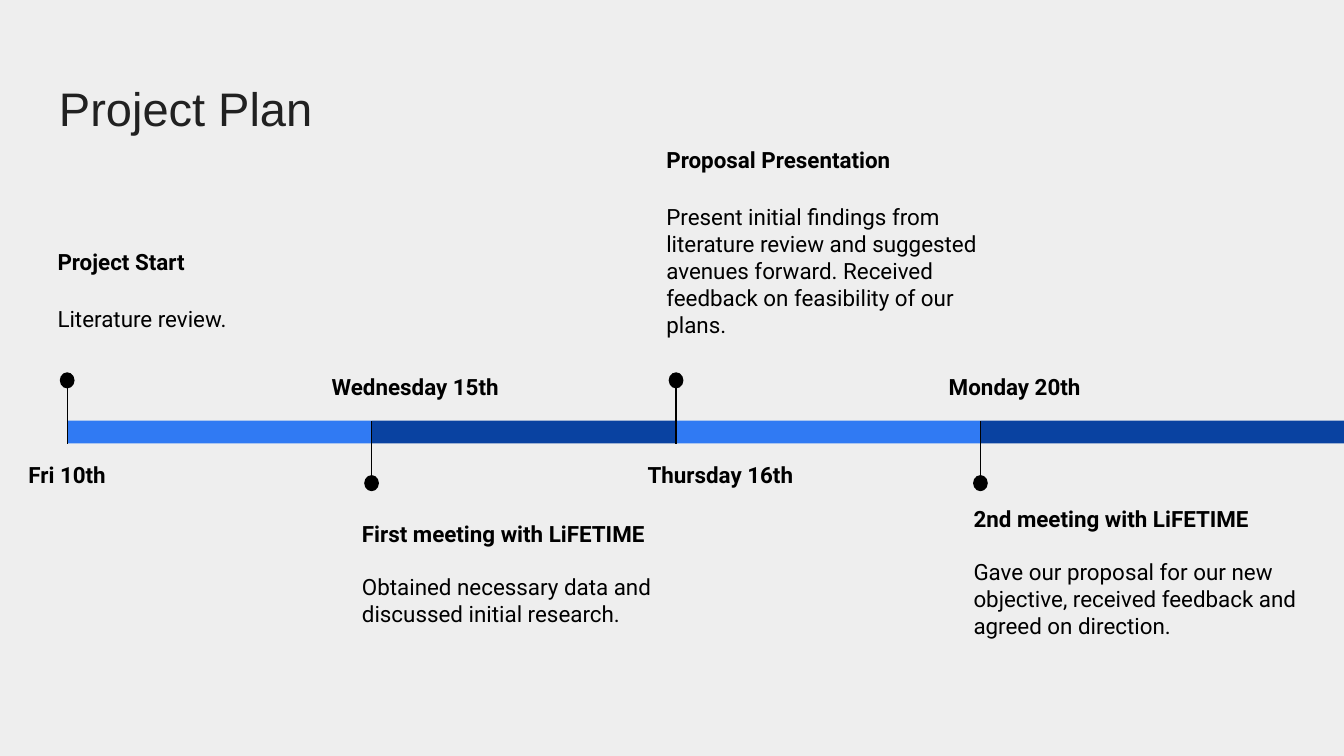
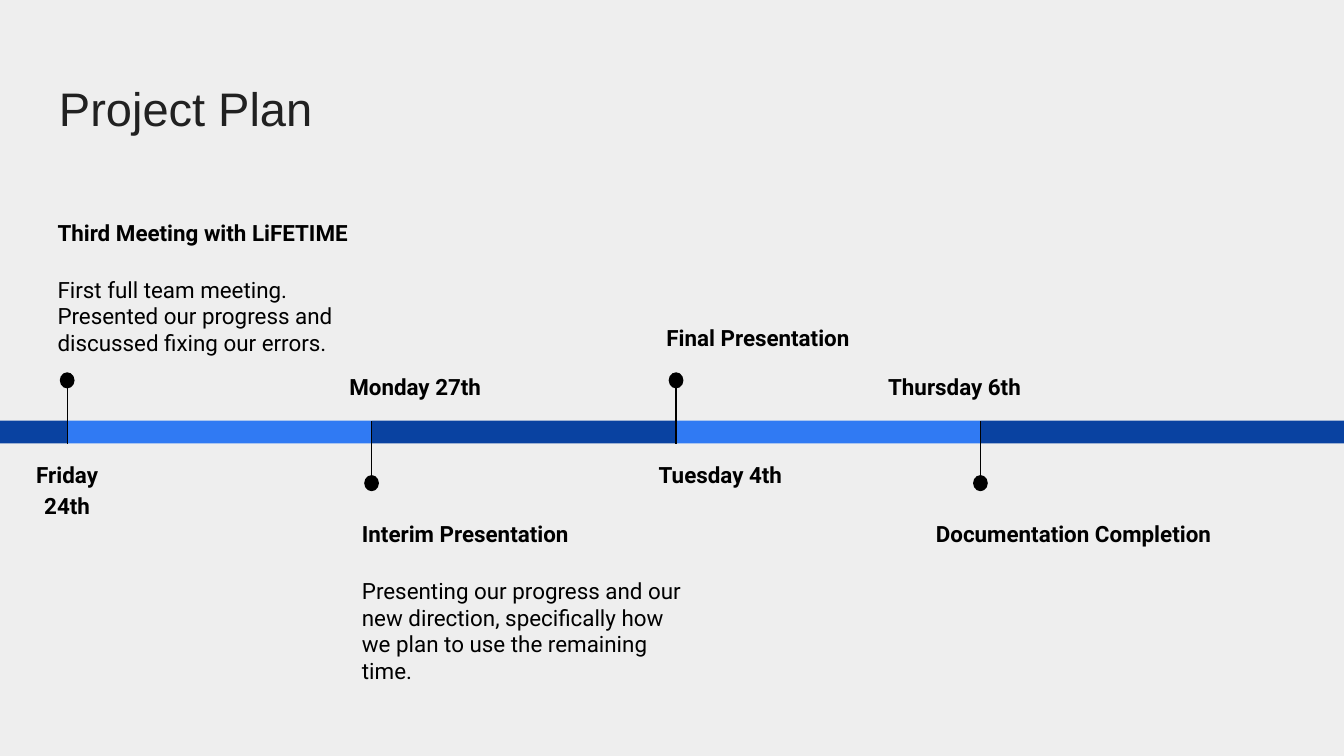
from dataclasses import dataclass

from lxml.etree import SubElement
from pptx import Presentation
from pptx.dml.color import RGBColor
from pptx.enum.shapes import MSO_CONNECTOR as Connector, MSO_SHAPE as Preset
from pptx.enum.text import MSO_ANCHOR as Anchor, PP_ALIGN as Align
from pptx.oxml.ns import qn
from pptx.util import Inches, Pt


@dataclass(frozen=True)
class Theme:
    background: str = "EEEEEE"
    title_color: str = "212121"
    ink: str = "000000"
    light_bar: str = "307AF3"
    dark_bar: str = "0942A1"
    title_font: str = "Arial"
    body_font: str = "Roboto"
    title_size: float = 25.2
    body_size: float = 12
    stem_width: float = 0.75


@dataclass(frozen=True)
class Milestone:
    date: str
    date_column: float
    date_width: float
    heading: str
    note_row: float
    note_height: float
    detail: str = ""
    gap: float = 16
    note_shift: float = -1.7
    note_width: float = 26
    date_align: Align = Align.CENTER


# Widescreen slide with a grid of 100 columns, rows of the same size
WIDTH, COLUMNS = 10, 100
HEIGHT = WIDTH * 9 / 16
CELL = WIDTH / COLUMNS

# Timeline geometry in columns and rows
FIRST_STOP, STOP_STEP = 5, 22.65
BAR_ROW, BAR_HEIGHT = 31.3, 1.7
DOT_WIDTH, DOT_HEIGHT = 1.1, 1.2
DATE_HEIGHT = 4.7
# Rows of stem start, stem end, dot and date, for notes above and below the bar
ABOVE = (28.4, 33, 27.7, 33)
BELOW = (35.9, 31.3, 35.35, 26.5)


def grid(*lengths):
    return [Inches(length * CELL) for length in lengths]


def color(value):
    return RGBColor.from_string(value)


def write(paragraph, text, *, font, size, ink, bold=False, align=Align.LEFT,
          line_spacing=None, before=0, after=0):
    paragraph.alignment = align
    paragraph.line_spacing = line_spacing
    paragraph.space_before, paragraph.space_after = Pt(before), Pt(after)
    run = paragraph.add_run()
    run.text = text
    run.font.name, run.font.size, run.font.bold = font, Pt(size), bold
    run.font.color.rgb = color(ink)


class Deck:
    def __init__(self, theme):
        self.theme = theme
        self.presentation = Presentation()
        self.presentation.slide_width = Inches(WIDTH)
        self.presentation.slide_height = Inches(HEIGHT)
        self.slide = None

    def new_slide(self, title):
        self.slide = self.presentation.slides.add_slide(self.presentation.slide_layouts[6])
        fill = self.slide.background.fill
        fill.solid()
        fill.fore_color.rgb = color(self.theme.background)
        frame = self.frame(3.4, 4.9, 93.2, 6.3, Anchor.MIDDLE)
        write(frame.paragraphs[0], title, font=self.theme.title_font,
              size=self.theme.title_size, ink=self.theme.title_color)

    def frame(self, left, top, width, height, anchor=Anchor.TOP):
        frame = self.slide.shapes.add_textbox(*grid(left, top, width, height)).text_frame
        frame.word_wrap = True
        frame.vertical_anchor = anchor
        frame.margin_left = frame.margin_right = Inches(0.1)
        frame.margin_top = frame.margin_bottom = Inches(0.1)
        return frame

    def body(self, paragraph, text, **options):
        write(paragraph, text, font=self.theme.body_font, size=self.theme.body_size,
              ink=self.theme.ink, **options)

    def shape(self, preset, left, top, width, height, fill):
        shape = self.slide.shapes.add_shape(preset, *grid(left, top, width, height))
        shape.shadow.inherit = False
        shape.fill.solid()
        shape.fill.fore_color.rgb = color(fill)
        shape.line.fill.background()

    def bar(self, left, right, fill):
        self.shape(Preset.RECTANGLE, left, BAR_ROW, right - left, BAR_HEIGHT, fill)

    def stem(self, column, start, end):
        line = self.slide.shapes.add_connector(
            Connector.STRAIGHT, *grid(column, start, column, end))
        line.line.color.rgb = color(self.theme.ink)
        line.line.width = Pt(self.theme.stem_width)
        SubElement(line._element.spPr, qn("a:effectLst"))

    def note(self, column, milestone):
        frame = self.frame(column + milestone.note_shift, milestone.note_row,
                           milestone.note_width, milestone.note_height)
        self.body(frame.paragraphs[0], milestone.heading, bold=True)
        if milestone.detail:
            self.body(frame.add_paragraph(), milestone.detail,
                      before=milestone.gap, after=16)

    def milestone(self, column, milestone, rows):
        start, end, dot_row, date_row = rows
        self.stem(column, start, end)
        self.shape(Preset.OVAL, column - DOT_WIDTH / 2, dot_row,
                   DOT_WIDTH, DOT_HEIGHT, self.theme.ink)
        frame = self.frame(milestone.date_column, date_row,
                           milestone.date_width, DATE_HEIGHT)
        self.body(frame.paragraphs[0], milestone.date, bold=True,
                  align=milestone.date_align, line_spacing=1.15, after=16)
        self.note(column, milestone)

    def timeline(self, milestones, continued=False):
        stops = [FIRST_STOP + STOP_STEP * index for index in range(len(milestones))]
        # Bars first, so that the stems lie on top
        if continued:
            self.bar(0, FIRST_STOP, self.theme.dark_bar)
        for index, (left, right) in enumerate(zip(stops, stops[1:] + [COLUMNS])):
            self.bar(left, right, self.theme.dark_bar if index % 2 else self.theme.light_bar)
        for index, (column, milestone) in enumerate(zip(stops, milestones)):
            self.milestone(column, milestone, BELOW if index % 2 else ABOVE)


FIRST_HALF = [
    Milestone("Fri 10th", 0, 10, "Project Start", 17.5, 4.6, "Literature review."),
    Milestone("Wednesday 15th", 22.4, 17, "First meeting with LiFETIME", 37.7, 12,
              "Obtained necessary data and discussed initial research.", gap=14),
    Milestone("Thursday 16th", 46.5, 14.2, "Proposal Presentation", 9.9, 16.6,
              "Present initial findings from literature review and suggested "
              "avenues forward. Received feedback on feasibility of our plans."),
    Milestone("Monday 20th", 68.6, 13.8, "2nd meeting with LiFETIME", 36.6, 12,
              "Gave our proposal for our new objective, received feedback and "
              "agreed on direction.", gap=14, note_shift=-1.5, note_width=27.1),
]

SECOND_HALF = [
    Milestone("Friday 24th", 0, 10, "Third Meeting with LiFETIME", 15.3, 4.6,
              "First full team meeting. Presented our progress and discussed "
              "fixing our errors."),
    Milestone("Monday 27th", 22.4, 17, "Interim Presentation", 37.7, 12,
              "Presenting our progress and our new direction, specifically how "
              "we plan to use the remaining time."),
    Milestone("Tuesday 4th", 46.5, 14.2, "Final Presentation", 23.1, 4.6),
    Milestone("Thursday 6th", 65.1, 17, "Documentation Completion", 37.7, 12,
              note_shift=-4.3, date_align=Align.LEFT),
]


def main():
    deck = Deck(Theme())
    for milestones, continued in ((FIRST_HALF, False), (SECOND_HALF, True)):
        deck.new_slide("Project Plan")
        deck.timeline(milestones, continued)
    deck.presentation.save("out.pptx")


if __name__ == "__main__":
    main()
